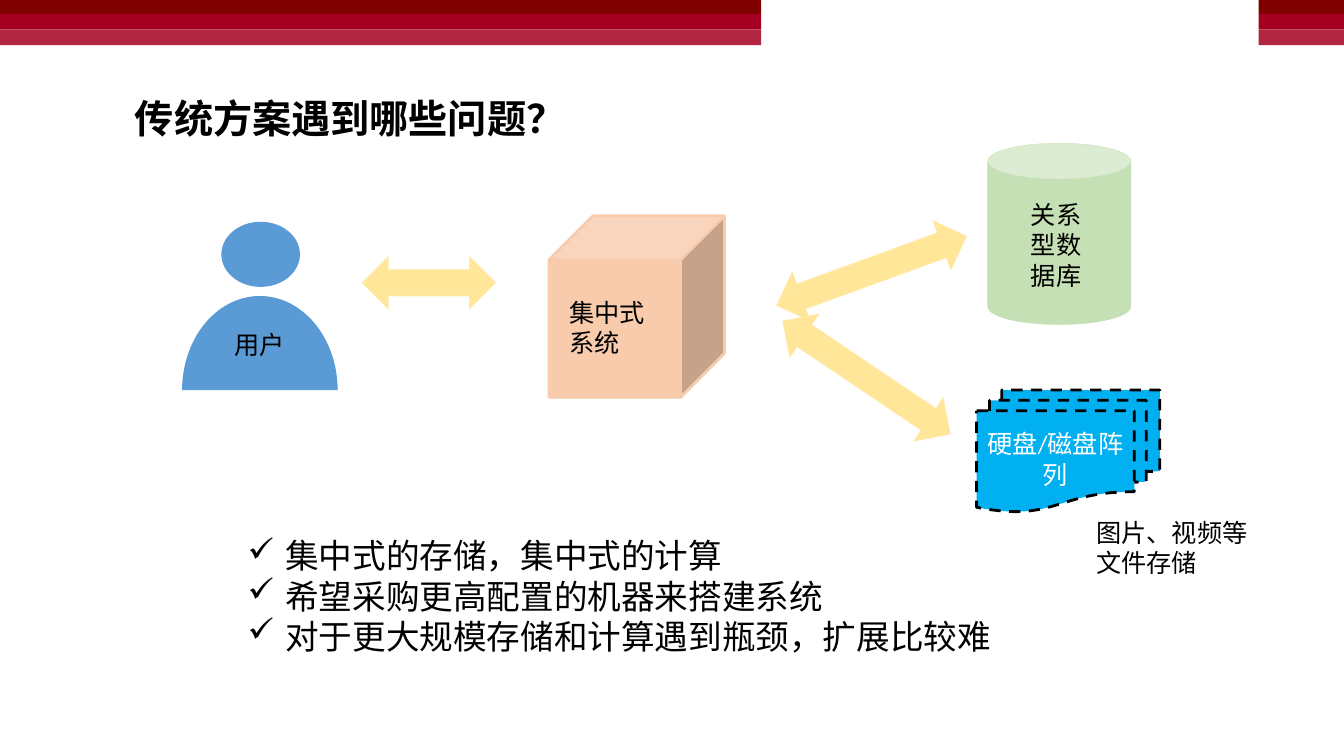
import math
from dataclasses import dataclass

import lxml.etree
import pptx
import pptx.dml.color
import pptx.enum.dml
import pptx.enum.shapes
import pptx.enum.text
import pptx.oxml.ns
import pptx.shapes.autoshape
import pptx.slide
import pptx.text.text
import pptx.util
from pptx.util import Cm

Preset = pptx.enum.shapes.MSO_SHAPE


@dataclass(frozen=True)
class Theme:
    font: str = "Calibri"
    title_size: int = 28
    bullet_size: int = 24
    label_size: int = 18
    text: str = "000000"
    light_text: str = "FFFFFF"
    bars: tuple[str, ...] = ("800000", "A50021", "B22642")
    user: str = "5B9BD5"
    arrow: str = "FFE699"
    arrow_line: str = "FFF2CC"
    system: str = "F8CBAD"
    database: str = "C5E0B4"
    disk: str = "00B0F0"


THEME = Theme()


@dataclass(frozen=True)
class Box:
    left: float
    top: float
    width: float
    height: float

    def lengths(self) -> tuple[Cm, Cm, Cm, Cm]:
        return Cm(self.left), Cm(self.top), Cm(self.width), Cm(self.height)


@dataclass(frozen=True)
class Figure:
    preset: Preset
    box: Box
    fill: str
    line: str | None = None
    line_width: float = 0.25
    rotation: float = 0


@dataclass(frozen=True)
class TextBlock:
    box: Box
    lines: tuple[str, ...]
    size: int = THEME.label_size
    bold: bool = False
    wrap: bool = True
    bullet: str | None = None


BAR_TOPS = (0, 0.35, 0.74, 1.14)
BAR_SPANS = ((0, 19.18), (31.72, 2.15))  # left, width

SYSTEM = Figure(Preset.CUBE, Box(13.84, 5.44, 4.42, 4.57), THEME.system, THEME.system, 2)
DATABASE = Figure(Preset.CAN, Box(24.89, 3.61, 3.61, 4.57), THEME.database, THEME.database)
DISK = Figure(Preset.FLOWCHART_MULTIDOCUMENT, Box(24.61, 9.83, 4.62, 3.07),
              THEME.disk, THEME.text, 2)
ARROWS = tuple(
    Figure(Preset.LEFT_RIGHT_ARROW, box, THEME.arrow, THEME.arrow_line, rotation=rotation)
    for box, rotation in (
        (Box(9.12, 6.45, 3.38, 1.35), 0),
        (Box(19.41, 6.15, 5.11, 1.35), 340),
        (Box(19.28, 8.84, 5.11, 1.35), 34),
    )
)

TEXT_BLOCKS = (
    TextBlock(Box(3.15, 2.26, 20.07, 1.45), ("传统方案遇到哪些问题？",), THEME.title_size, bold=True),
    TextBlock(
        Box(5.99, 13.36, 21.39, 3.33),
        ("集中式的存储，集中式的计算",
         "希望采购更高配置的机器来搭建系统",
         "对于更大规模存储和计算遇到瓶颈，扩展比较难"),
        THEME.bullet_size, bullet="✓",
    ),
    TextBlock(Box(5.66, 8.18, 1.78, 1.02), ("用户",), wrap=False),
    TextBlock(Box(14.1, 7.37, 2.82, 1.8), ("集中式系统",)),
    TextBlock(Box(25.73, 4.9, 2.03, 2.57), ("关系型数据库",)),
    TextBlock(Box(27.38, 12.9, 5.13, 1.8), ("图片、视频等", "文件存储")),
)


def color(code: str) -> pptx.dml.color.RGBColor:
    return pptx.dml.color.RGBColor.from_string(code)


def paint(shape: pptx.shapes.autoshape.Shape, fill: str,
          line: str | None = None, line_width: float = 0.25) -> None:
    shape.shadow.inherit = False
    shape.fill.solid()
    shape.fill.fore_color.rgb = color(fill)
    if line is None:
        shape.line.fill.background()
    else:
        shape.line.color.rgb = color(line)
        shape.line.width = pptx.util.Pt(line_width)


def draw_figure(slide: pptx.slide.Slide, figure: Figure) -> pptx.shapes.autoshape.Shape:
    shape = slide.shapes.add_shape(figure.preset, *figure.box.lengths())
    paint(shape, figure.fill, figure.line, figure.line_width)
    shape.rotation = figure.rotation
    return shape


def add_text(paragraph: pptx.text.text._Paragraph, text: str, size: int,
             text_color: str = THEME.text, bold: bool = False) -> None:
    run = paragraph.add_run()
    run.text = text
    run.font.name = THEME.font
    run.font.size = pptx.util.Pt(size)
    run.font.bold = bold
    run.font.color.rgb = color(text_color)


def add_bullet(paragraph: pptx.text.text._Paragraph, character: str) -> None:
    properties = paragraph._p.get_or_add_pPr()
    indent = Cm(0.95)
    properties.set("marL", str(indent))
    properties.set("indent", str(-indent))
    bullet = lxml.etree.SubElement(properties, pptx.oxml.ns.qn("a:buChar"))
    bullet.set("char", character)


def draw_text_block(slide: pptx.slide.Slide, block: TextBlock) -> None:
    frame = slide.shapes.add_textbox(*block.box.lengths()).text_frame
    frame.word_wrap = block.wrap
    frame.auto_size = pptx.enum.text.MSO_AUTO_SIZE.SHAPE_TO_FIT_TEXT
    for index, line in enumerate(block.lines):
        paragraph = frame.add_paragraph() if index else frame.paragraphs[0]
        if block.bullet:
            add_bullet(paragraph, block.bullet)
        add_text(paragraph, line, block.size, bold=block.bold)


def arc_points(center_x: float, center_y: float, radius_x: float, radius_y: float,
               sweep: int) -> list[tuple[Cm, Cm]]:
    """Points every three degrees, clockwise from the leftmost one."""
    angles = (math.radians(180 + degree) for degree in range(0, sweep + 1, 3))
    return [(Cm(center_x + radius_x * math.cos(angle)),
             Cm(center_y + radius_y * math.sin(angle))) for angle in angles]


def draw_user(slide: pptx.slide.Slide) -> None:
    body = arc_points(6.55, 9.83, 1.96, 2.37, 180)
    head = arc_points(6.57, 6.41, 0.99, 0.82, 360)
    builder = slide.shapes.build_freeform(*body[0])
    builder.add_line_segments(body[1:], close=True)
    builder.move_to(*head[0])
    builder.add_line_segments(head[1:], close=True)
    paint(builder.convert_to_shape(), THEME.user)


def draw_bars(slide: pptx.slide.Slide) -> None:
    for left, width in BAR_SPANS:
        for top, bottom, fill in zip(BAR_TOPS, BAR_TOPS[1:], THEME.bars):
            draw_figure(slide, Figure(Preset.RECTANGLE, Box(left, top, width, bottom - top), fill))


def draw_disk(slide: pptx.slide.Slide) -> None:
    shape = draw_figure(slide, DISK)
    shape.line.dash_style = pptx.enum.dml.MSO_LINE.DASH
    frame = shape.text_frame
    frame.word_wrap = True
    frame.vertical_anchor = pptx.enum.text.MSO_ANCHOR.MIDDLE
    paragraph = frame.paragraphs[0]
    paragraph.alignment = pptx.enum.text.PP_ALIGN.CENTER
    add_text(paragraph, "硬盘/磁盘阵列", THEME.label_size, THEME.light_text)


def main() -> None:
    presentation = pptx.Presentation()
    presentation.slide_width = Cm(33.87)
    presentation.slide_height = Cm(19.05)
    slide = presentation.slides.add_slide(presentation.slide_layouts[6])
    draw_bars(slide)
    draw_user(slide)
    for figure in (SYSTEM, DATABASE, *ARROWS):
        draw_figure(slide, figure)
    draw_disk(slide)
    for block in TEXT_BLOCKS:
        draw_text_block(slide, block)
    presentation.save("out.pptx")


if __name__ == "__main__":
    main()
